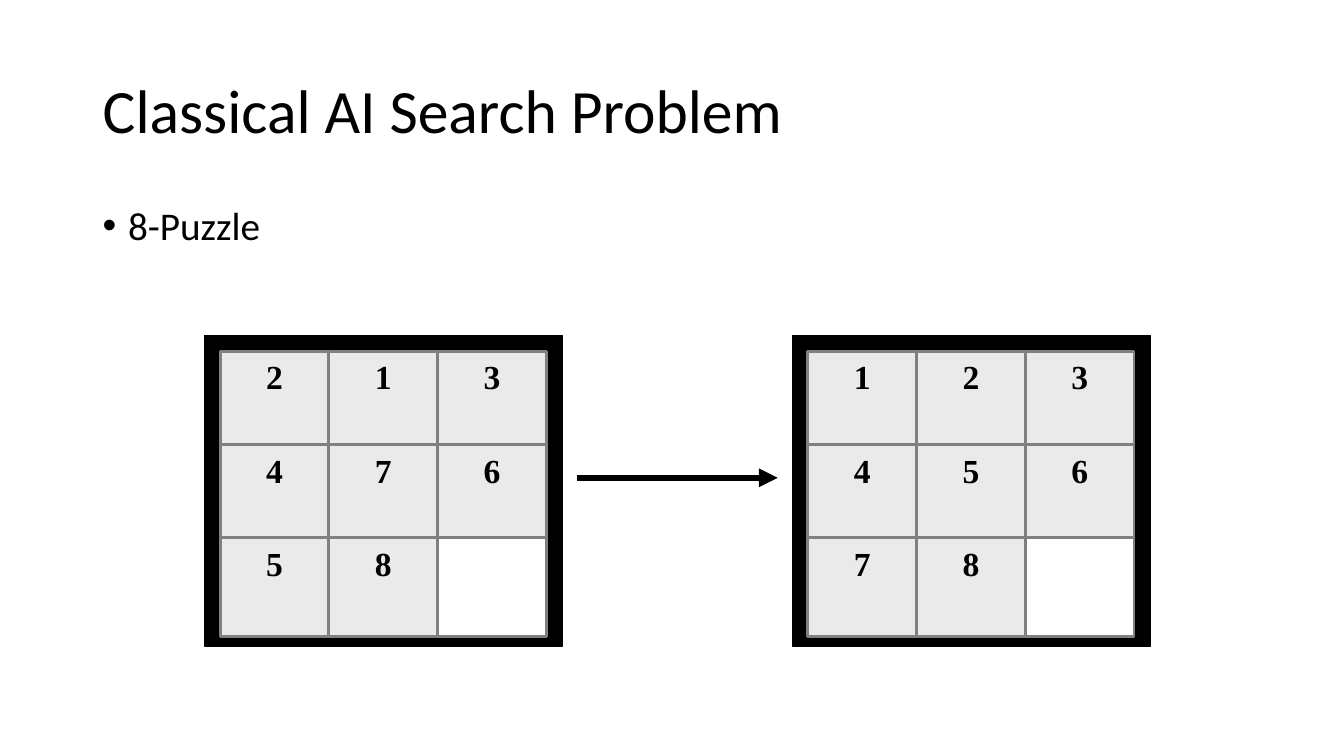
"""Build a slide that shows the 8-puzzle as a start board and a goal board."""
import lxml.etree
import pptx
import pptx.dml.color
import pptx.enum.shapes
import pptx.enum.text
import pptx.oxml.ns
import pptx.util

Cm = pptx.util.Cm
Pt = pptx.util.Pt
qn = pptx.oxml.ns.qn
Align = pptx.enum.text.PP_ALIGN
Anchor = pptx.enum.text.MSO_ANCHOR
RECT = pptx.enum.shapes.MSO_SHAPE.RECTANGLE

TITLE = "Classical AI Search Problem"
POINT = "8-Puzzle"
BOARDS = [
    {"left": 5.16, "rows": ["213", "476", "58 "]},
    {"left": 19.97, "rows": ["123", "456", "78 "]},
]

THEME = {
    "ink": "000000", "tile": "EAEAEA", "empty": "FFFFFF", "edge": "808080",
    "sans": "Calibri", "serif": "Times New Roman",
    "title": 44, "point": 28, "digit": 24,
    "thin": 0.75, "rule": 2, "arrow": 4.5,
}

SIZE = (33.87, 19.05)
MARGIN, WIDTH = 2.34, 29.21
TOP = 8.46
FRAME = (9.02, 7.82)
INSET = 0.39
STEP = (2.74, 2.35)
TILE = (2.74, 2.49)
GAP = 0.37


def color(name):
    return pptx.dml.color.RGBColor.from_string(THEME[name])


def write(shape, text, font="sans", size="point", bold=False,
          align=Align.LEFT, anchor=Anchor.TOP, lines=1.0, bullet=None):
    """Put one formatted paragraph into a shape."""
    frame = shape.text_frame
    frame.word_wrap = True
    frame.vertical_anchor = anchor
    para = frame.paragraphs[0]
    para.text = text
    para.alignment = align
    para.line_spacing = lines
    if bullet:
        props = para._p.get_or_add_pPr()
        props.set("marL", str(Cm(0.64)))
        props.set("indent", str(-Cm(0.64)))
        face = lxml.etree.SubElement(props, qn("a:buFont"))
        face.set("typeface", "Arial")
        lxml.etree.SubElement(props, qn("a:buChar")).set("char", bullet)
    para.font.name = THEME[font]
    para.font.size = Pt(THEME[size])
    para.font.bold = bold
    para.font.color.rgb = color("ink")


def box(group, left, top, size, fill, edge, weight):
    """Add a filled rectangle to a group."""
    shape = group.shapes.add_shape(RECT, Cm(left), Cm(top), *map(Cm, size))
    shape.shadow.inherit = False
    shape.fill.solid()
    shape.fill.fore_color.rgb = color(fill)
    shape.line.color.rgb = color(edge)
    shape.line.width = Pt(THEME[weight])
    return shape


def board(slide, left, rows):
    """Draw a black frame and its three rows of tiles."""
    group = slide.shapes.add_group_shape()
    box(group, left, TOP, FRAME, "ink", "ink", "thin")
    for row, digits in enumerate(rows):
        for col, digit in enumerate(digits):
            full = digit != " "
            tile = box(group, left + INSET + col * STEP[0],
                       TOP + INSET + row * STEP[1], TILE,
                       "tile" if full else "empty", "edge", "rule")
            if full:
                write(tile, digit, font="serif", size="digit", bold=True,
                      align=Align.CENTER)


def arrow(slide, start, end, level):
    """Draw a level arrow from start to end."""
    line = slide.shapes.add_connector(
        pptx.enum.shapes.MSO_CONNECTOR.STRAIGHT,
        Cm(start), Cm(level), Cm(end), Cm(level))
    line.line.color.rgb = color("ink")
    line.line.width = Pt(THEME["arrow"])
    tip = lxml.etree.SubElement(line.line._get_or_add_ln(), qn("a:tailEnd"))
    tip.set("type", "triangle")
    lxml.etree.SubElement(line._element.spPr, qn("a:effectLst"))


def main():
    deck = pptx.Presentation()
    deck.slide_width, deck.slide_height = map(Cm, SIZE)
    slide = deck.slides.add_slide(deck.slide_layouts[6])

    title = slide.shapes.add_textbox(Cm(MARGIN), Cm(1.02), Cm(WIDTH), Cm(3.68))
    write(title, TITLE, size="title", anchor=Anchor.MIDDLE, lines=0.9)
    body = slide.shapes.add_textbox(Cm(MARGIN), Cm(5.08), Cm(WIDTH), Cm(2.5))
    write(body, POINT, lines=0.9, bullet="•")

    for item in BOARDS:
        board(slide, **item)
    start, goal = (item["left"] for item in BOARDS)
    arrow(slide, start + FRAME[0] + GAP, goal - GAP, 12.04)
    deck.save("out.pptx")


if __name__ == "__main__":
    main()
